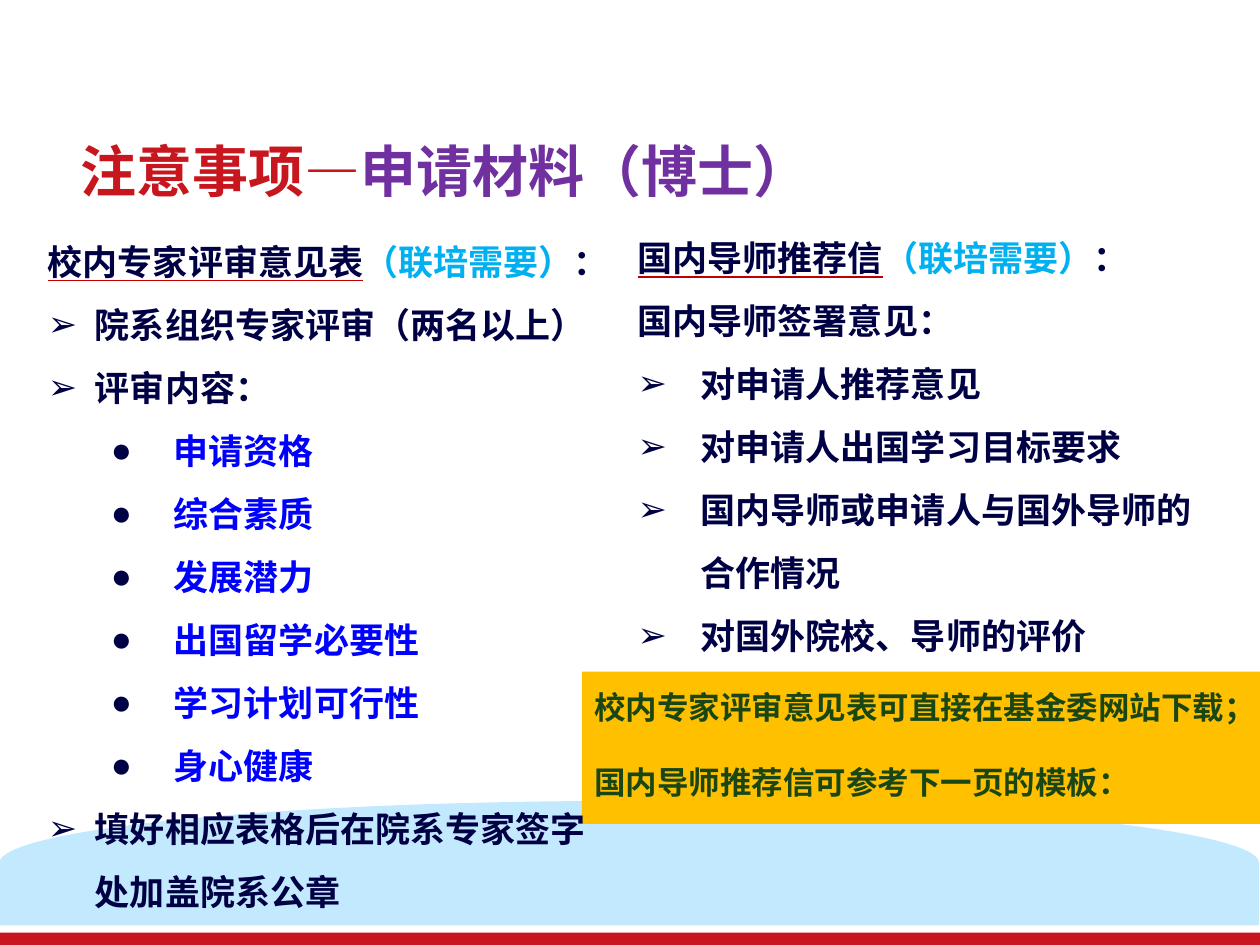
from lxml import etree
from pptx import Presentation
from pptx.dml.color import RGBColor
from pptx.enum import shapes, text
from pptx.oxml import ns
from pptx.util import Cm, Pt

FONT = "Noto Sans CJK SC"
RED = RGBColor(0xC9, 0x15, 0x1E)
TITLE_RED = RGBColor(0xC8, 0x16, 0x1E)
PURPLE = RGBColor(0x70, 0x30, 0xA0)
NAVY = RGBColor(0x00, 0x00, 0x44)
BLUE = RGBColor(0x00, 0x00, 0xFF)
CYAN = RGBColor(0x00, 0xB0, 0xF0)
SKY = RGBColor(0xC3, 0xE9, 0xFF)
AMBER = RGBColor(0xFF, 0xC0, 0x00)
GREEN = RGBColor(0x1A, 0x46, 0x14)
UNDERLINE = "C00000"

# Content
TITLE = [("注意事项—", TITLE_RED), ("申请材料（博士）", PURPLE)]
NEEDED = "（联培需要）"
REVIEW = [
    ("heading", "校内专家评审意见表"),
    ("arrow", "院系组织专家评审（两名以上）"),
    ("arrow", "评审内容："),
    ("dot", "申请资格"),
    ("dot", "综合素质"),
    ("dot", "发展潜力"),
    ("dot", "出国留学必要性"),
    ("dot", "学习计划可行性"),
    ("dot", "身心健康"),
    ("arrow", "填好相应表格后在院系专家签字处加盖院系公章"),
]
LETTER = [
    ("heading", "国内导师推荐信"),
    ("plain", "国内导师签署意见："),
    ("arrow", "对申请人推荐意见"),
    ("arrow", "对申请人出国学习目标要求"),
    ("arrow", "国内导师或申请人与国外导师的合作情况"),
    ("arrow", "对国外院校、导师的评价"),
]
NOTES = ["校内专家评审意见表可直接在基金委网站下载；", "国内导师推荐信可参考下一页的模板："]

# Column positions (left, top, width, height) and arrow indents in cm
COLUMNS = [
    (REVIEW, (0.71, 4.29, 11.38, 15.65), 0.95),
    (LETTER, (12.6, 4.22, 12.01, 10.52), 1.27),
]


def place(shape, left, top, width, height):
    shape.left, shape.top, shape.width, shape.height = map(Cm, (left, top, width, height))


def add_block(slide, kind, box, color):
    block = slide.shapes.add_shape(kind, *map(Cm, box))
    block.shadow.inherit = False
    block.fill.solid()
    block.fill.fore_color.rgb = color
    block.line.fill.background()
    return block


def set_bullet(paragraph, char, margin, hang):
    props = paragraph._p.get_or_add_pPr()
    props.set("marL", str(Cm(margin)))
    props.set("indent", str(-Cm(hang)))
    if char:
        color = etree.SubElement(props, ns.qn("a:buClr"))
        etree.SubElement(color, ns.qn("a:srgbClr"), val=str(NAVY))
        etree.SubElement(props, ns.qn("a:buFont"), typeface="Arial")
        etree.SubElement(props, ns.qn("a:buChar"), char=char)
    else:
        etree.SubElement(props, ns.qn("a:buNone"))


def write(paragraph, parts, size):
    paragraph.font.size = Pt(size)
    paragraph.font.bold = True
    paragraph.font.name = FONT
    for words, color in parts:
        run = paragraph.add_run()
        run.text = words
        run.font.color.rgb = color
        etree.SubElement(run._r.get_or_add_rPr(), ns.qn("a:ea"), typeface=FONT)


def underline(run):
    run.font.underline = text.MSO_UNDERLINE.SINGLE_LINE
    fill = etree.Element(ns.qn("a:uFill"))
    solid = etree.SubElement(fill, ns.qn("a:solidFill"))
    etree.SubElement(solid, ns.qn("a:srgbClr"), val=UNDERLINE)
    run.font._element.find(ns.qn("a:ea")).addprevious(fill)


def set_frame(frame, wrap=True):
    frame.word_wrap = wrap
    frame.auto_size = text.MSO_AUTO_SIZE.NONE
    frame.vertical_anchor = text.MSO_ANCHOR.TOP


def fill_column(frame, items, arrow_indent):
    set_frame(frame)
    bullets = {"arrow": ("➢", arrow_indent, arrow_indent), "dot": ("●", 2.54, 1.27)}
    for number, (role, words) in enumerate(items):
        paragraph = frame.paragraphs[0] if number == 0 else frame.add_paragraph()
        paragraph.level = 1 if role == "dot" else 0
        paragraph.alignment = text.PP_ALIGN.LEFT
        paragraph.line_spacing = 1.5
        paragraph.space_before = Pt(0)
        set_bullet(paragraph, *bullets.get(role, (None, 0, 0)))
        parts = [(words, BLUE if role == "dot" else NAVY)]
        if role == "heading":
            parts += [(NEEDED, CYAN), ("：", NAVY)]
        write(paragraph, parts, 20)
        if role == "heading":
            underline(paragraph.runs[0])


def main():
    prs = Presentation()
    prs.slide_width, prs.slide_height = Cm(25.4), Cm(19.05)
    slide = prs.slides.add_slide(prs.slide_layouts[3])
    title, *bodies = slide.placeholders

    # Background bands and note panel
    add_block(slide, shapes.MSO_SHAPE.RECTANGLE, (0, 18.8, 25.4, 0.25), RED)
    hill = add_block(slide, shapes.MSO_SHAPE.FLOWCHART_DELAY, (11.43, 4.7, 2.51, 25.4), SKY)
    hill.rotation = 270
    add_block(slide, shapes.MSO_SHAPE.RECTANGLE, (11.73, 13.54, 13.67, 3.07), AMBER)

    # Title
    place(title, 1.37, 2.72, 23.27, 1.6)
    set_frame(title.text_frame)
    title.text_frame.vertical_anchor = text.MSO_ANCHOR.MIDDLE
    heading = title.text_frame.paragraphs[0]
    heading.alignment = text.PP_ALIGN.LEFT
    heading.line_spacing = 0.9
    write(heading, TITLE, 32)

    # Two columns, in front of the bands
    for body, (items, box, arrow_indent) in zip(bodies, COLUMNS):
        place(body, *box)
        fill_column(body.text_frame, items, arrow_indent)
        slide.shapes._spTree.append(body._element)

    # Note
    note = slide.shapes.add_textbox(Cm(11.73), Cm(13.74), Cm(14.07), Cm(2.57)).text_frame
    set_frame(note, wrap=False)
    for number, words in enumerate(NOTES):
        paragraph = note.paragraphs[0] if number == 0 else note.add_paragraph()
        if number:
            paragraph.space_before = Pt(21.6)
        write(paragraph, [(words, GREEN)], 18)

    prs.save("out.pptx")


if __name__ == "__main__":
    main()
